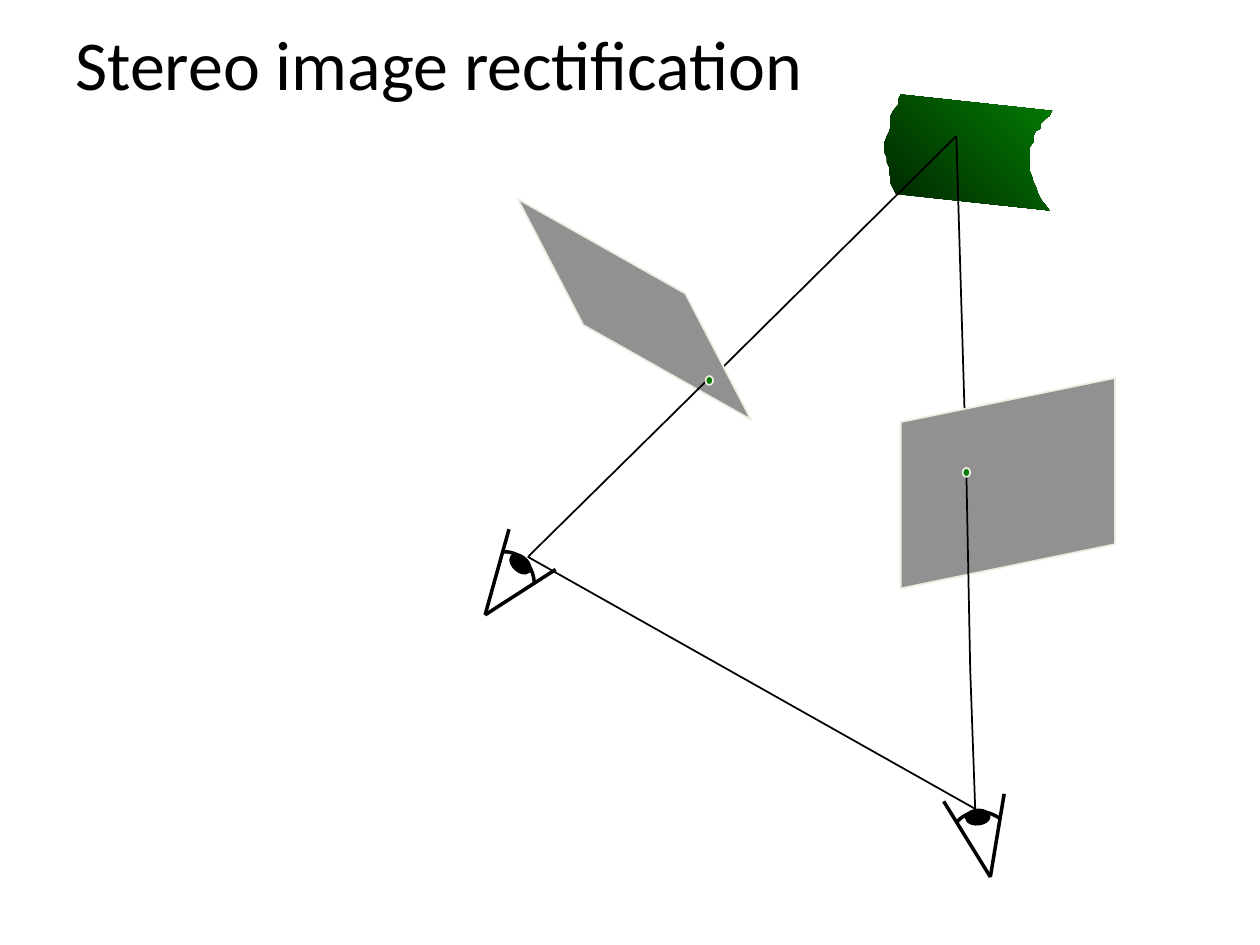
import pptx
import pptx.util
import pptx.dml.color
import pptx.enum.shapes
import pptx.enum.text
import pptx.oxml.ns
import lxml.etree

Inches, Pt = pptx.util.Inches, pptx.util.Pt
RGBColor = pptx.dml.color.RGBColor
BLACK = RGBColor(0x00, 0x00, 0x00)
GRAY = RGBColor(0x91, 0x91, 0x91)
CREAM = RGBColor(0xEE, 0xEC, 0xE1)
GREEN = RGBColor(0x03, 0x7C, 0x03)
DARK_GREEN = RGBColor(0x01, 0x25, 0x01)

deck = pptx.Presentation()
deck.slide_width, deck.slide_height = Inches(10), Inches(7.5)
slide = deck.slides.add_slide(deck.slide_layouts[6])
shapes = slide.shapes


def add_text(text, left, top, width, height, size=40, font="Calibri", color=BLACK):
    box = shapes.add_textbox(Inches(left), Inches(top), Inches(width), Inches(height))
    frame = box.text_frame
    frame.word_wrap = True
    frame.vertical_anchor = pptx.enum.text.MSO_ANCHOR.MIDDLE
    run = frame.paragraphs[0].add_run()
    run.text = text
    run.font.size, run.font.name = Pt(size), font
    run.font.color.rgb = color


def draw(kind, points, fill=None, line=BLACK, weight=1, turn=0):
    """Draw a "line" (two ends), a "path" (all points) or an "oval" (centre, size)."""
    (x1, y1), (x2, y2) = [(Inches(x), Inches(y)) for x, y in points[:2]]
    if kind == "line":
        item = shapes.add_connector(
            pptx.enum.shapes.MSO_CONNECTOR.STRAIGHT, x1, y1, x2, y2)
        lxml.etree.SubElement(item._element.spPr, pptx.oxml.ns.qn("a:effectLst"))
    else:
        if kind == "oval":
            item = shapes.add_shape(pptx.enum.shapes.MSO_SHAPE.OVAL,
                                    x1 - x2 // 2, y1 - y2 // 2, x2, y2)
            item.rotation = turn
        else:
            builder = shapes.build_freeform(x1, y1)
            builder.add_line_segments([(Inches(x), Inches(y)) for x, y in points[1:]],
                                      close=points[0] == points[-1])
            item = builder.convert_to_shape()
        item.shadow.inherit = False
        if fill is None:
            item.fill.background()
        else:
            item.fill.solid()
            item.fill.fore_color.rgb = fill
    if line is None:
        item.line.fill.background()
    else:
        item.line.color.rgb = line
        item.line.width = Pt(weight)
    return item


# Scene surface with torn left and right edges
surface = draw("path", [
    (7.15, 0.75), (7.13, 0.79), (7.13, 0.83), (7.09, 0.88), (7.07, 0.92), (7.07, 1),
    (7.06, 1.04), (7.04, 1.08), (7.02, 1.13), (7.02, 1.21), (7.04, 1.25), (7.04, 1.29),
    (7.06, 1.33), (7.06, 1.38), (7.07, 1.42), (7.07, 1.46), (7.09, 1.5), (7.11, 1.54),
    (8.33, 1.67), (8.26, 1.58), (8.24, 1.54), (8.22, 1.48), (8.2, 1.44), (8.19, 1.4),
    (8.17, 1.35), (8.17, 1.17), (8.2, 1.13), (8.2, 1.08), (8.22, 1.04), (8.26, 1.02),
    (8.26, 0.98), (8.3, 0.94), (8.33, 0.92), (8.35, 0.88), (7.15, 0.75)], line=None)
surface.fill.gradient()
surface.fill.gradient_angle = 45
for stop, color, position in zip(surface.fill.gradient_stops, (DARK_GREEN, GREEN), (0, 1)):
    stop.color.rgb, stop.position = color, position

# Baseline, rays and image planes; each plane hides the ray behind it
left_eye, right_eye, scene_point = (4.19, 4.42), (7.74, 6.42), (7.59, 1.08)
left_plane = [(4.63, 2.58), (5.96, 3.33), (5.44, 2.33), (4.11, 1.58), (4.63, 2.58)]
right_plane = [(7.15, 3.35), (7.15, 4.67), (8.85, 4.32), (8.85, 3), (7.15, 3.35)]
draw("line", [left_eye, right_eye])
draw("line", [(5.63, 3.02), scene_point])
draw("path", left_plane, GRAY, CREAM)
draw("line", [(7.67, 3.75), scene_point])
draw("line", [(4.89, 3.73), (5.63, 3)])
draw("path", right_plane, GRAY, CREAM)
draw("line", [(7.7, 5.31), (7.67, 3.75)])
draw("line", [left_eye, (4.89, 3.73)])
draw("line", [right_eye, (7.7, 5.31)])

# Eyes: apex, lid ends, Bezier control points of the cornea, pupil centre and turn
eyes = [
    ((7.86, 6.96), [(7.49, 6.36), (7.97, 6.3)],
     [(7.59, 6.53), (7.67, 6.43), (7.82, 6.41), (7.94, 6.5)], (7.76, 6.485), 264.6),
    ((3.85, 4.88), [(4.04, 4.2), (4.41, 4.52)],
     [(3.99, 4.38), (4.12, 4.37), (4.23, 4.48), (4.24, 4.62)], (4.13, 4.475), 312.5),
]
STEPS = 16
for apex, (first_lid, second_lid), controls, pupil, turn in eyes:
    cornea = []
    for t in (step / STEPS for step in range(STEPS + 1)):
        weights = ((1 - t) ** 3, 3 * t * (1 - t) ** 2, 3 * t ** 2 * (1 - t), t ** 3)
        cornea.append(tuple(sum(w * point[axis] for w, point in zip(weights, controls))
                            for axis in (0, 1)))
    draw("path", [apex, *cornea, apex], weight=0.75)
    draw("path", cornea, weight=2)
    draw("line", [first_lid, apex], weight=2)
    draw("oval", [pupil, (0.12, 0.19)], BLACK, turn=turn)
    draw("line", [apex, second_lid], weight=2)

add_text("Stereo image rectification", 0.5, 0, 9, 1)

for image_point in [(7.67, 3.75), (5.63, 3.02)]:
    draw("oval", [image_point, (0.06, 0.07)], GREEN, CREAM)

deck.save("out.pptx")
